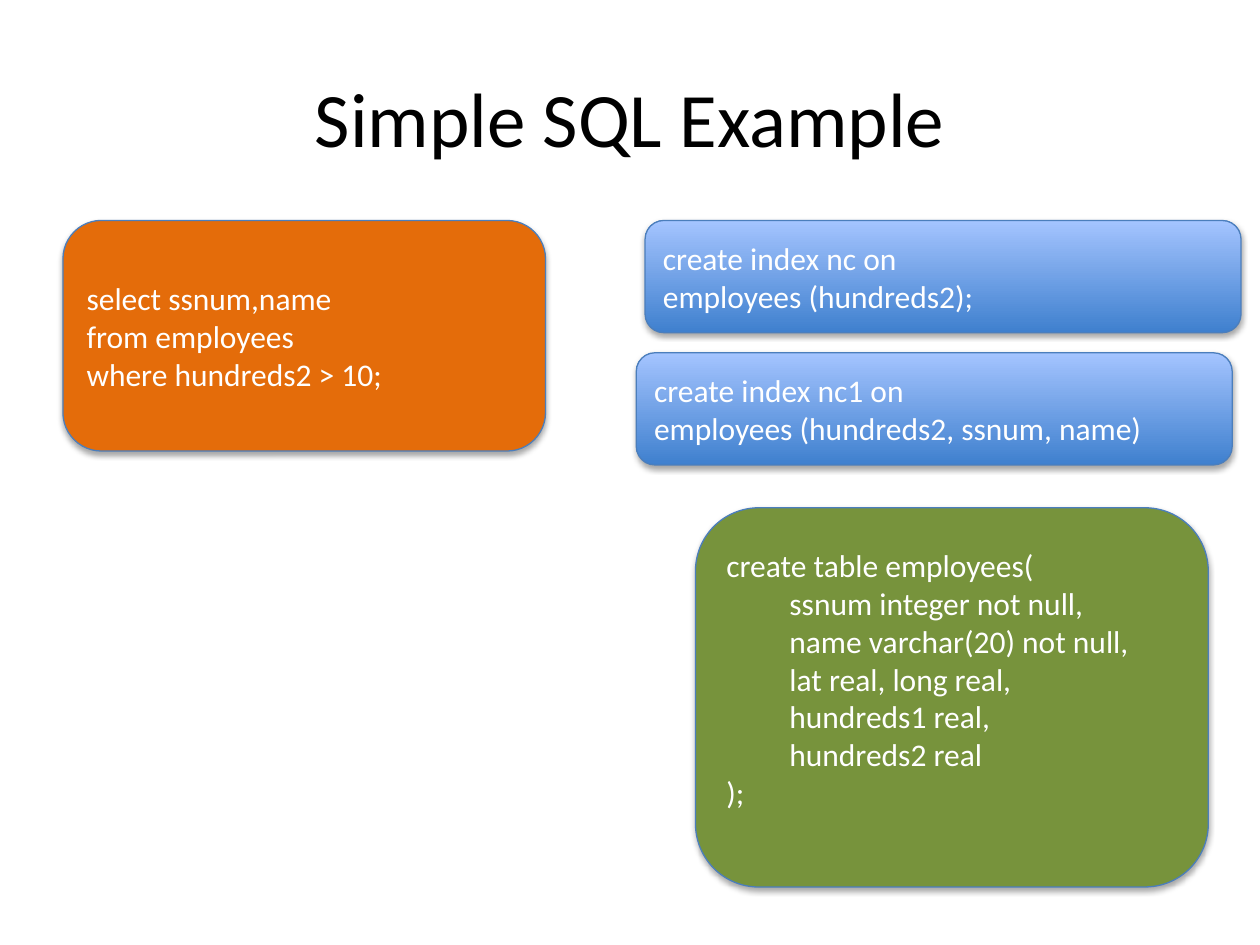
from dataclasses import dataclass

from pptx import Presentation
from pptx.dml.color import RGBColor
from pptx.enum.shapes import MSO_SHAPE
from pptx.enum.text import MSO_ANCHOR, PP_ALIGN
from pptx.util import Inches, Pt


@dataclass(frozen=True)
class Theme:
    font: str = "Calibri"
    title_size: int = 44
    code_size: int = 18
    title: str = "000000"
    code: str = "FFFFFF"
    line: str = "4B7EBC"
    query: tuple = ("E46C0A",)
    index: tuple = ("3F80CE", "A4C4FF")
    table: tuple = ("77933C",)


THEME = Theme()
QUERY = ["select ssnum,name", "from employees", "where hundreds2 > 10;"]
INDEX_NC = ["create index nc on", "employees (hundreds2);"]
INDEX_NC1 = ["create index nc1 on", "employees (hundreds2, ssnum, name)"]
COLUMNS = [
    "ssnum integer not null,",
    "name varchar(20) not null,",
    "lat real, long real,",
    "hundreds1 real,",
    "hundreds2 real",
]
TABLE = ["create table employees(", *COLUMNS, ");"]


def place(sp, box):
    sp.left, sp.top, sp.width, sp.height = (Inches(v) for v in box)


def style_runs(p, size, color):
    for r in p.runs:
        r.font.name = THEME.font
        r.font.size = Pt(size)
        r.font.color.rgb = RGBColor.from_string(color)


def paint(sp, colors):
    if len(colors) == 1:
        sp.fill.solid()
        sp.fill.fore_color.rgb = RGBColor.from_string(colors[0])
    else:
        sp.fill.gradient()
        sp.fill.gradient_angle = 90
        for stop, color in zip(sp.fill.gradient_stops, colors):
            stop.color.rgb = RGBColor.from_string(color)
    sp.line.color.rgb = RGBColor.from_string(THEME.line)
    sp.line.width = Pt(0.75)


def add_title(s, box, text):
    sp = s.shapes.title
    place(sp, box)
    tf = sp.text_frame
    tf.text = text
    tf.vertical_anchor = MSO_ANCHOR.MIDDLE
    p = tf.paragraphs[0]
    p.alignment = PP_ALIGN.CENTER
    style_runs(p, THEME.title_size, THEME.title)


def add_code_box(s, box, lines, colors):
    sp = s.shapes.add_shape(MSO_SHAPE.ROUNDED_RECTANGLE, *(Inches(v) for v in box))
    paint(sp, colors)
    tf = sp.text_frame
    tf.word_wrap = True
    tf.vertical_anchor = MSO_ANCHOR.MIDDLE
    tf.text = "\n".join(lines)
    for p in tf.paragraphs:
        p.alignment = PP_ALIGN.LEFT
        style_runs(p, THEME.code_size, THEME.code)
    return tf


def add_table_box(s, box):
    tf = add_code_box(s, box, TABLE, THEME.table)
    tf.margin_bottom = Inches(0.35)
    for p in tf.paragraphs[1:-1]:
        pPr = p._p.get_or_add_pPr()
        pPr.set("marL", str(Inches(0.5)))
        pPr.set("indent", "0")


def main():
    prs = Presentation()
    prs.slide_width, prs.slide_height = Inches(10), Inches(7.5)
    s = prs.slides.add_slide(prs.slide_layouts[5])
    add_title(s, (0.5, 0.3, 9, 1.25), "Simple SQL Example")
    add_code_box(s, (0.5, 1.75, 3.83, 1.83), QUERY, THEME.query)
    add_code_box(s, (5.12, 1.75, 4.73, 0.89), INDEX_NC, THEME.index)
    add_code_box(s, (5.05, 2.8, 4.73, 0.89), INDEX_NC1, THEME.index)
    add_table_box(s, (5.52, 4.03, 4.07, 3.01))
    prs.save("out.pptx")


if __name__ == "__main__":
    main()
